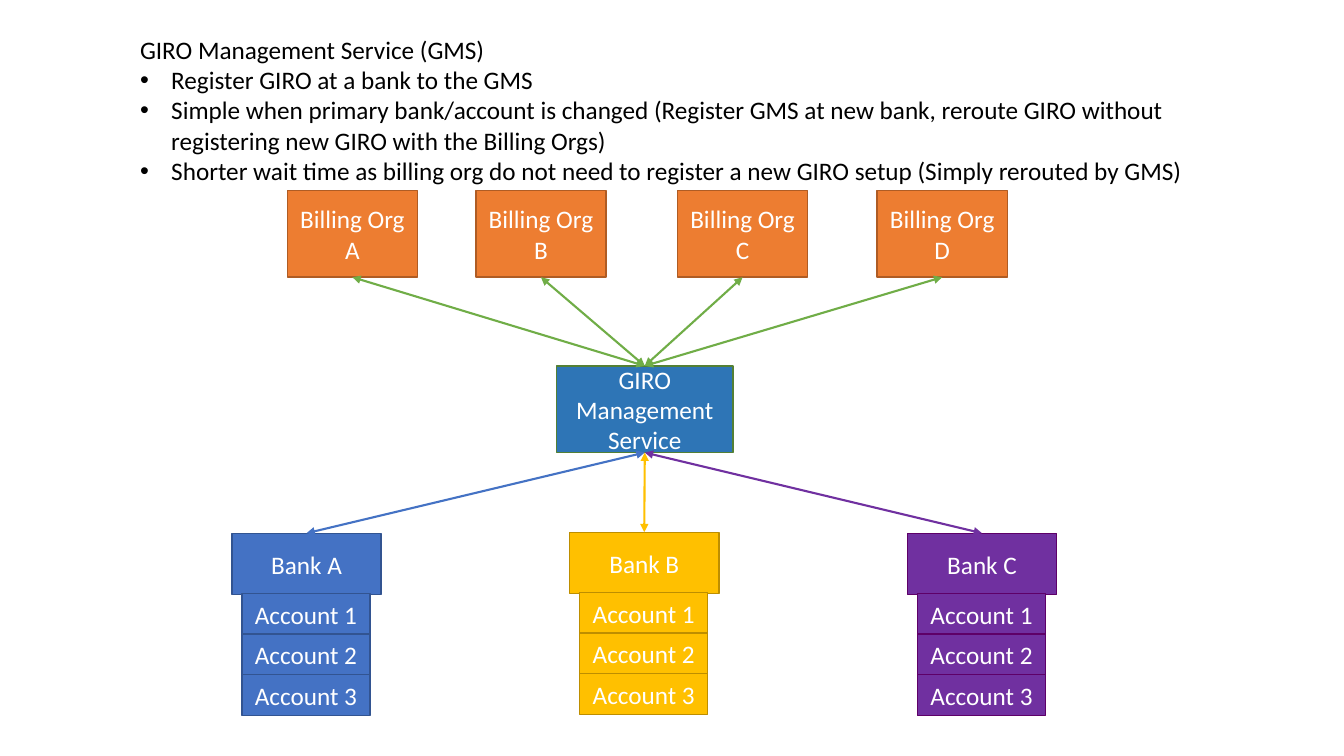
from lxml import etree
from pptx import Presentation
from pptx.dml.color import RGBColor
from pptx.enum.shapes import MSO_CONNECTOR, MSO_SHAPE
from pptx.enum.text import MSO_ANCHOR, MSO_AUTO_SIZE, PP_ALIGN
from pptx.oxml.ns import qn
from pptx.util import Inches, Pt

RECT = MSO_SHAPE.RECTANGLE
STRAIGHT = MSO_CONNECTOR.STRAIGHT
MIDDLE = MSO_ANCHOR.MIDDLE
GROW = MSO_AUTO_SIZE.SHAPE_TO_FIT_TEXT
LEFT, CENTER = PP_ALIGN.LEFT, PP_ALIGN.CENTER

BLACK = RGBColor(0x00, 0x00, 0x00)
WHITE = RGBColor(0xFF, 0xFF, 0xFF)
ORANGE = RGBColor(0xED, 0x7D, 0x31)
RUST = RGBColor(0xAF, 0x5C, 0x24)
BLUE = RGBColor(0x44, 0x72, 0xC4)
NAVY = RGBColor(0x32, 0x54, 0x91)
GOLD = RGBColor(0xFF, 0xC0, 0x00)
BRONZE = RGBColor(0xBD, 0x8E, 0x00)
PURPLE = RGBColor(0x70, 0x30, 0xA0)
PLUM = RGBColor(0x5E, 0x00, 0x68)
STEEL = RGBColor(0x2E, 0x75, 0xB6)
MOSS = RGBColor(0x53, 0x80, 0x35)
GREEN = RGBColor(0x70, 0xAD, 0x47)

FONT = "Calibri"
TOP, BOTTOM = 0, 2  # connection sites of a rectangle

TITLE = "GIRO Management Service (GMS)"
POINTS = [
    "Register GIRO at a bank to the GMS",
    "Simple when primary bank/account is changed (Register GMS at new bank, "
    "reroute GIRO without registering new GIRO with the Billing Orgs)",
    "Shorter wait time as billing org do not need to register a new GIRO "
    "setup (Simply rerouted by GMS)",
]
ORGS = [("A", 2.85), ("B", 4.72), ("C", 6.72), ("D", 8.7)]
BANKS = [
    ("A", 2.3, 5.29, BLUE, NAVY),
    ("B", 5.65, 5.28, GOLD, BRONZE),
    ("C", 9, 5.29, PURPLE, PLUM),
]


def write(para, text, size=18, color=BLACK, align=LEFT, bullet=False):
    """Put formatted text in a paragraph."""
    para.alignment = align
    run = para.add_run()
    run.text = text
    run.font.name = FONT
    run.font.size = Pt(size)
    run.font.color.rgb = color
    if bullet:
        props = para._p.get_or_add_pPr()
        props.set("marL", str(Inches(0.31)))
        props.set("indent", str(-Inches(0.31)))
        etree.SubElement(props, qn("a:buFont")).set("typeface", "Arial")
        etree.SubElement(props, qn("a:buChar")).set("char", "•")


def add_box(slide, text, left, top, width, height, fill, edge):
    """Add a filled rectangle with a centred white label."""
    box = slide.shapes.add_shape(
        RECT, Inches(left), Inches(top), Inches(width), Inches(height))
    box.shadow.inherit = False
    box.fill.solid()
    box.fill.fore_color.rgb = fill
    box.line.color.rgb = edge
    box.line.width = Pt(1)
    frame = box.text_frame
    frame.word_wrap = True
    frame.vertical_anchor = MIDDLE
    write(frame.paragraphs[0], text, color=WHITE, align=CENTER)
    return box


def add_link(slide, lower, upper, color):
    """Join the top of one box to the bottom of another, arrows at both ends."""
    link = slide.shapes.add_connector(STRAIGHT, 0, 0, 0, 0)
    link.begin_connect(lower, TOP)
    link.end_connect(upper, BOTTOM)
    link.line.color.rgb = color
    link.line.width = Pt(1.5)
    line = link.line._get_or_add_ln()
    for end in ("a:headEnd", "a:tailEnd"):
        etree.SubElement(line, qn(end)).set("type", "triangle")
    etree.SubElement(link._element.spPr, qn("a:effectLst"))


def add_bank(slide, name, left, top, fill, edge):
    """Add a bank with its three accounts stacked below; return the bank."""
    bank = add_box(slide, f"Bank {name}", left, top, 1.48, 0.61, fill, edge)
    for i in range(3):
        add_box(slide, f"Account {i + 1}", left + 0.1, top + 0.6 + 0.4 * i,
                1.27, 0.41, fill, edge)
    return bank


def add_intro(slide):
    """Add the heading and its bullet points."""
    box = slide.shapes.add_textbox(
        Inches(1.29), Inches(0.29), Inches(10.75), Inches(1.62))
    frame = box.text_frame
    frame.word_wrap = True
    frame.auto_size = GROW
    write(frame.paragraphs[0], TITLE)
    for point in POINTS:
        write(frame.add_paragraph(), point, bullet=True)


def main():
    """Build the slide and save it."""
    deck = Presentation()
    deck.slide_width = Inches(13.33)
    deck.slide_height = Inches(7.5)
    slide = deck.slides.add_slide(deck.slide_layouts[6])

    orgs = [add_box(slide, f"Billing Org {name}", left, 1.89, 1.29, 0.86,
                    ORANGE, RUST) for name, left in ORGS]
    banks = [add_bank(slide, *bank) for bank in BANKS]
    hub = add_box(slide, "GIRO Management Service", 5.52, 3.63, 1.75, 0.86,
                  STEEL, MOSS)
    for bank, (*_, fill, _) in zip(banks, BANKS):
        add_link(slide, bank, hub, fill)
    for org in orgs:
        add_link(slide, hub, org, GREEN)
    add_intro(slide)
    deck.save("out.pptx")


main()
